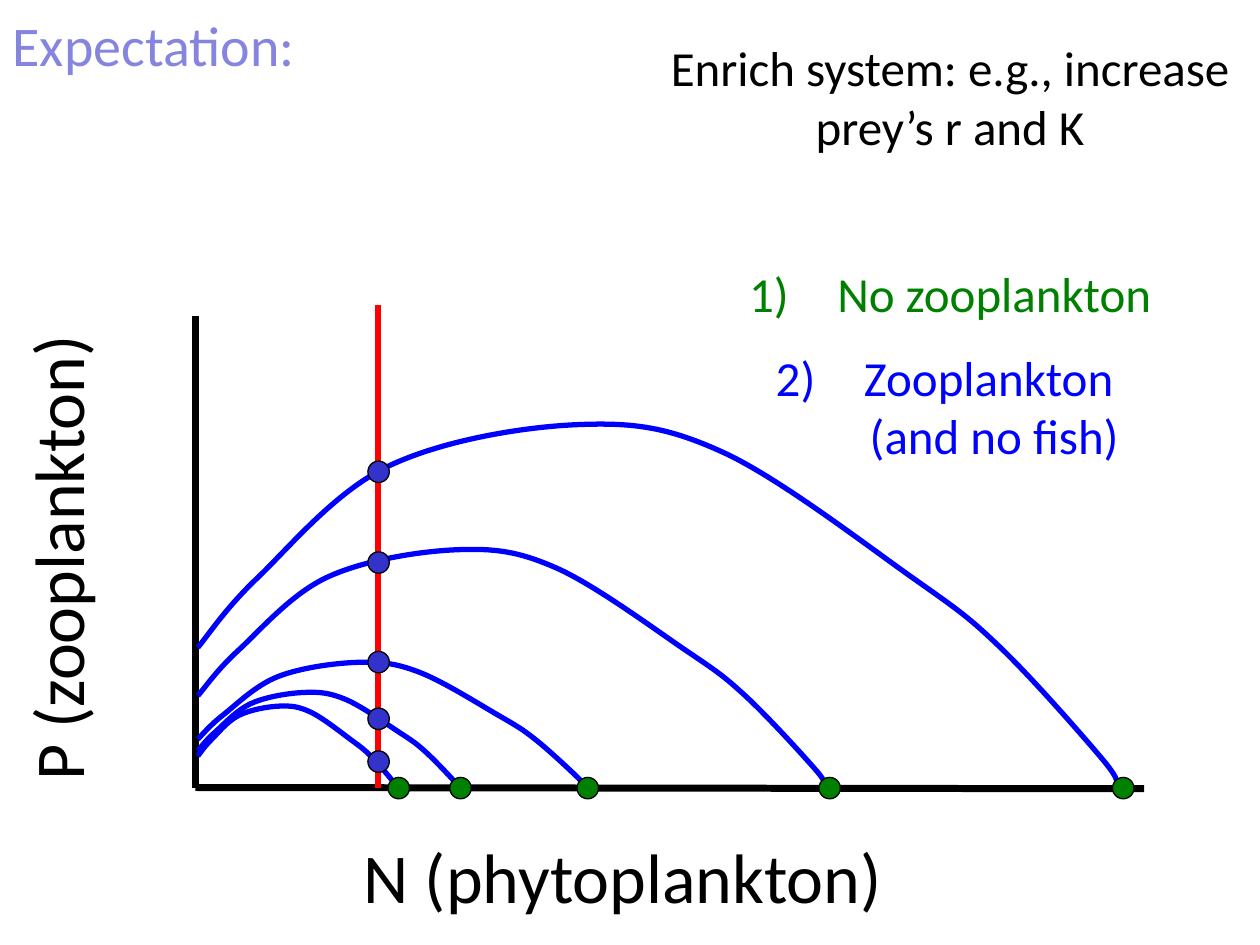
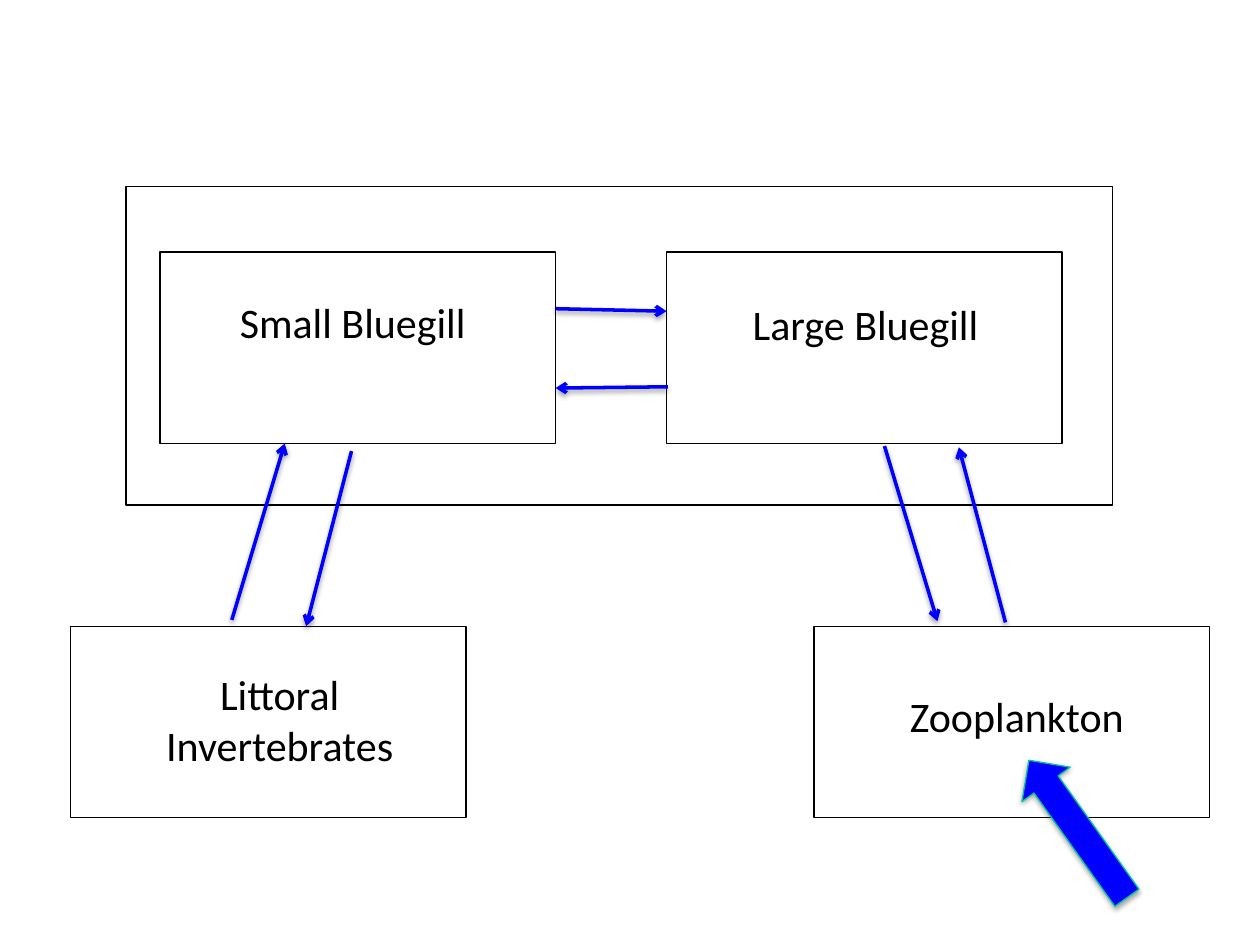
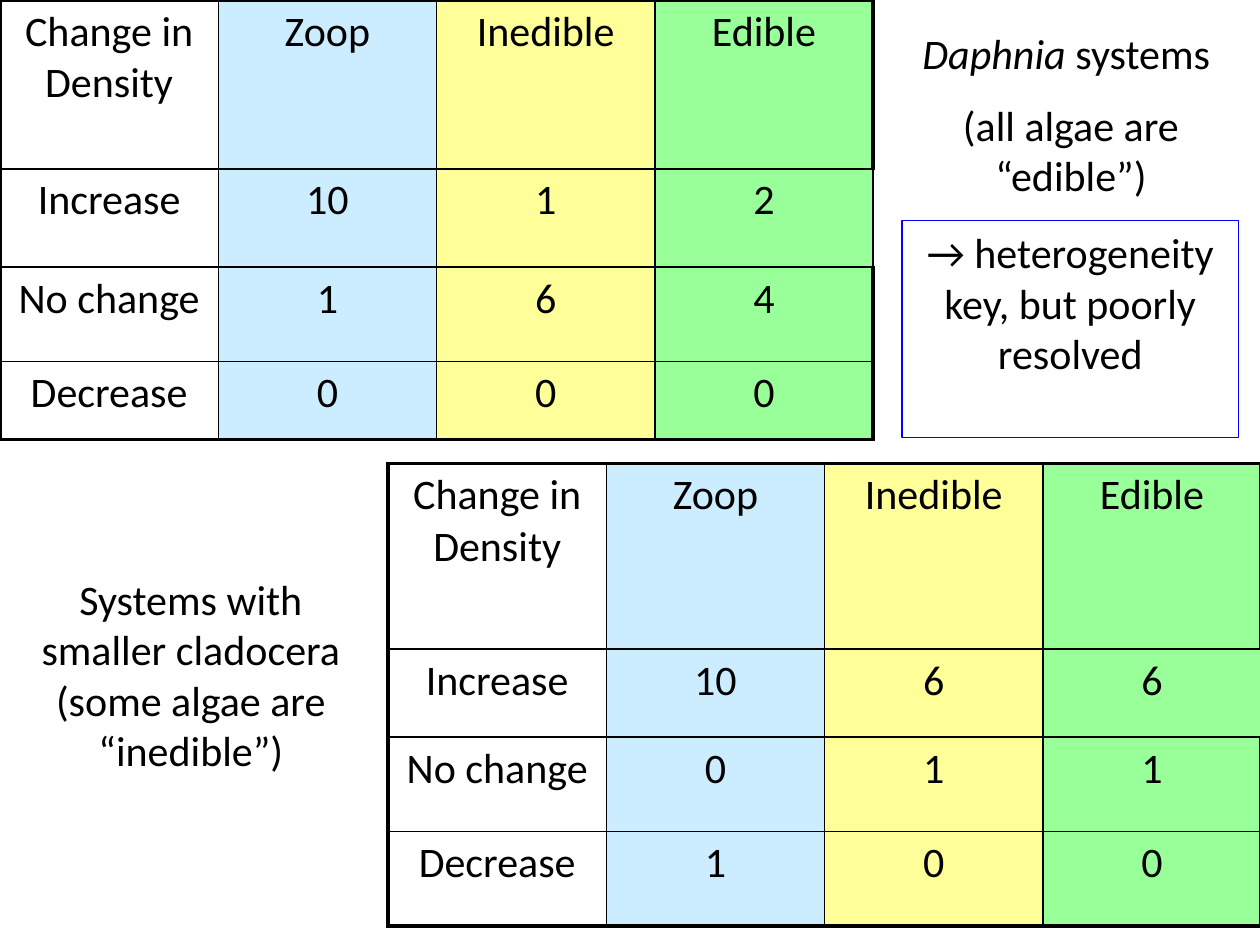
from lxml import etree
from pptx import Presentation
from pptx.dml.color import RGBColor
from pptx.enum.shapes import MSO_CONNECTOR, MSO_SHAPE
from pptx.enum.text import MSO_ANCHOR, MSO_AUTO_SIZE, PP_ALIGN
from pptx.oxml.ns import qn
from pptx.util import Inches, Pt

STRAIGHT = MSO_CONNECTOR.STRAIGHT
RECTANGLE, OVAL, UP_ARROW = MSO_SHAPE.RECTANGLE, MSO_SHAPE.OVAL, MSO_SHAPE.UP_ARROW
LEFT, CENTER = PP_ALIGN.LEFT, PP_ALIGN.CENTER
TOP, NO_AUTOFIT = MSO_ANCHOR.TOP, MSO_AUTO_SIZE.NONE

THEME = {
    "font": "Calibri",
    "title": 32, "axis": 40, "list": 28, "body": 24,
    "black": "000000", "lavender": "8585E0", "blue": "0000FF", "red": "FF0000",
    "green": "008000", "indigo": "3333CC", "teal": "00C896",
    "columns": [None, "CCECFF", "FFFF99", "99FF99"],
}


def write_text(frame, paragraphs, size, color="black", align=CENTER):
    for name, value in {"word_wrap": True, "auto_size": NO_AUTOFIT, "vertical_anchor": TOP}.items():
        setattr(frame, name, value)
    for index, parts in enumerate(paragraphs):
        paragraph = frame.add_paragraph() if index else frame.paragraphs[0]
        paragraph.text = parts[0]
        for part in parts[1:]:
            paragraph.add_run().text = part
        paragraph.alignment = align
        paragraph.space_before = Pt(THEME[size] / 2 if index else 0)
        for run in paragraph.runs:
            for name, value in {"name": THEME["font"], "size": Pt(THEME[size])}.items():
                setattr(run.font, name, value)
            run.font.color.rgb = RGBColor.from_string(THEME[color])


def paint(shape, line, width, fill=None, shadow=None):
    shape.line.color.rgb = RGBColor.from_string(THEME[line])
    shape.line.width = Pt(width)
    if fill:
        shape.fill.solid()
        shape.fill.fore_color.rgb = RGBColor.from_string(THEME[fill])
    elif hasattr(shape, "fill"):
        shape.fill.background()
    effects = etree.SubElement(shape._element.spPr, qn("a:effectLst"))
    if shadow:
        outer = etree.SubElement(effects, qn("a:outerShdw"), blurRad=str(Pt(3.1)),
                                 dist=str(Pt(1.6)), dir="5400000", rotWithShape="0")
        tint = etree.SubElement(outer, qn("a:srgbClr"), val=THEME["black"])
        etree.SubElement(tint, qn("a:alpha"), val=str(shadow * 1000))


presentation = Presentation()
presentation.slide_width, presentation.slide_height = Inches(10), Inches(7.5)
title_only, blank = presentation.slide_layouts[5], presentation.slide_layouts[6]

slide = presentation.slides.add_slide(title_only)
title = slide.shapes.title
for name, value in {"left": 0, "top": 0.03, "width": 3.25, "height": 0.64}.items():
    setattr(title, name, Inches(value))
write_text(title.text_frame, [["Expectation:"]], "title", "lavender", LEFT)

scenario = slide.shapes.add_textbox(Inches(5.08), Inches(0.25), Inches(4.92), Inches(3.64))
write_text(scenario.text_frame, [
    ["Enrich system: e.g., increase prey’s r and K"],
    ["No zooplankton"],
    ["Zooplankton \n(and no fish)"],
], "list")
cases = scenario.text_frame.paragraphs[1:]
cases[0].space_before = Pt(62)
for paragraph, color in zip(cases, ["green", "blue"]):
    properties = paragraph._p.get_or_add_pPr()
    properties.set("marL", str(Inches(0.7)))
    properties.set("indent", str(Inches(-0.7)))
    etree.SubElement(properties, qn("a:buFont"), typeface="+mj-lt")
    etree.SubElement(properties, qn("a:buAutoNum"), type="arabicParenR")
    for run in paragraph.runs:
        run.font.color.rgb = RGBColor.from_string(THEME[color])

axis_labels = [
    ("N (phytoplankton)", 2.79, 6.47, 4.71, 0),
    ("P (zooplankton)", -1.66, 3.8, 4.12, 270),
]
for label, left, top, width, rotation in axis_labels:
    box = slide.shapes.add_textbox(Inches(left), Inches(top), Inches(width), Inches(0.86))
    box.rotation = rotation
    write_text(box.text_frame, [[label]], "axis", align=LEFT)
    box.text_frame.paragraphs[0].line_spacing = 1.15

base = 6.25
for end_x, end_y in [(1.55, 2.51), (9.08, 6.26)]:
    axis = slide.shapes.add_connector(
        STRAIGHT, Inches(1.55), Inches(base), Inches(end_x), Inches(end_y))
    paint(axis, "black", 4)

hump = [(0, 61.7), (6.4, 42.8), (20.6, 12.1), (41.1, 0.7), (56.9, 8.3),
        (77.5, 42.8), (86.9, 61.7), (98, 92.4), (99.6, 100)]
isocline_sizes = [(1.58, 0.65), (2.07, 0.76), (3.08, 1), (5, 1.9), (7.33, 2.9)]
for width, height in isocline_sizes:
    knots = [(Inches(1.57 + width * x / 100), Inches(base - height * (1 - y / 100)))
             for x, y in hump]
    padded = [knots[0], *knots, knots[-1]]
    points = []
    for before, start, end, after in zip(padded, padded[1:], padded[2:], padded[3:]):
        leaving = [s + (e - b) / 6 for b, s, e in zip(before, start, end)]
        arriving = [e - (a - s) / 6 for s, e, a in zip(start, end, after)]
        points += [leaving, arriving, end]
    builder = slide.shapes.build_freeform(*knots[0])
    builder.add_line_segments(points, close=False)
    curve = builder.convert_to_shape()
    outline = curve._element.find(".//" + qn("a:path"))
    segments = outline.findall(qn("a:lnTo"))
    for first in range(0, len(segments), 3):
        bezier = etree.SubElement(outline, qn("a:cubicBezTo"))
        for segment in segments[first:first + 3]:
            bezier.append(segment[0])
            outline.remove(segment)
    paint(curve, "blue", 3)

predator_isocline = slide.shapes.add_connector(
    STRAIGHT, Inches(3), Inches(2.42), Inches(3), Inches(base))
paint(predator_isocline, "red", 3)

equilibria = [(2.92, top, "indigo") for top in (3.66, 4.38, 5.17, 5.62, 5.96)]
equilibria += [(1.5 + width, base - 0.08, "green") for width, height in isocline_sizes]
for left, top, color in equilibria:
    dot = slide.shapes.add_shape(OVAL, Inches(left), Inches(top), Inches(0.17), Inches(0.17))
    paint(dot, "black", 0.75, color)

slide = presentation.slides.add_slide(blank)
habitat = slide.shapes.add_shape(RECTANGLE, Inches(1), Inches(1.48), Inches(7.83), Inches(2.53))
paint(habitat, "black", 0.75)

compartments = [
    ("Small Bluegill", 1.27, 2, 1.65, 2.3),
    ("Large Bluegill", 5.29, 2, 5.72, 2.32),
    ("Littoral Invertebrates", 0.56, 4.97, 1.07, 5.26),
    ("Zooplankton", 6.46, 4.97, 6.92, 5.43),
]
for label, left, top, label_left, label_top in compartments:
    compartment = slide.shapes.add_shape(
        RECTANGLE, Inches(left), Inches(top), Inches(3.14), Inches(1.52))
    paint(compartment, "black", 0.75)
    box = slide.shapes.add_textbox(
        Inches(label_left), Inches(label_top), Inches(2.3), Inches(0.91))
    write_text(box.text_frame, [[label]], "body")

flows = [
    (4.41, 2.45, 5.29, 2.47), (5.3, 3.07, 4.41, 3.08),
    (1.84, 4.92, 2.26, 3.52), (2.79, 3.58, 2.43, 4.97),
    (7.02, 3.54, 7.44, 4.93), (7.98, 4.94, 7.61, 3.55),
]
for flow in flows:
    arrow = slide.shapes.add_connector(STRAIGHT, *[Inches(value) for value in flow])
    paint(arrow, "blue", 2, shadow=38)
    etree.SubElement(arrow.line._get_or_add_ln(), qn("a:tailEnd"), type="arrow")

enrichment = slide.shapes.add_shape(
    UP_ARROW, Inches(8.32), Inches(5.91), Inches(0.47), Inches(1.34))
enrichment.rotation = 324.5
paint(enrichment, "teal", 0.75, "blue", shadow=35)

slide = presentation.slides.add_slide(blank)
header = ["Change in Density", "Zoop", "Inedible", "Edible"]
changes = ["Increase", "No change", "Decrease"]
density_tables = [
    (0, 0, [1.34, 0.78, 0.75, 0.62], [(10, 1, 2), (1, 6, 4), (0, 0, 0)]),
    (3.08, 3.68, [1.47, 0.7, 0.75, 0.75], [(10, 6, 6), (0, 1, 1), (1, 0, 0)]),
]
for left, top, heights, counts in density_tables:
    table = slide.shapes.add_table(
        4, 4, Inches(left), Inches(top), Inches(6.93), Inches(sum(heights))).table
    table.first_row = table.horz_banding = False
    rows = [header] + [[change, *values] for change, values in zip(changes, counts)]
    for row, (height, values) in enumerate(zip(heights, rows)):
        table.rows[row].height = Inches(height)
        for column, value in enumerate(values):
            cell = table.cell(row, column)
            write_text(cell.text_frame, [[str(value)]], "body")
            cell.vertical_anchor = TOP
            thick_edges = {
                "a:lnL": column == 0,
                "a:lnR": column == 3 and row != 1,
                "a:lnT": row == 0,
                "a:lnB": row == 3,
            }
            properties = cell._tc.get_or_add_tcPr()
            for edge, thick in thick_edges.items():
                border = etree.SubElement(properties, qn(edge), w=str(Pt(2.25 if thick else 1)))
                solid = etree.SubElement(border, qn("a:solidFill"))
                etree.SubElement(solid, qn("a:srgbClr"), val=THEME["black"])
            fill = THEME["columns"][column]
            if fill:
                cell.fill.solid()
                cell.fill.fore_color.rgb = RGBColor.from_string(fill)
            else:
                cell.fill.background()

daphnia = slide.shapes.add_textbox(Inches(7), Inches(0.17), Inches(3), Inches(1.51))
write_text(daphnia.text_frame, [["Daphnia", " systems "], ["(all algae are “edible”)"]], "body")
daphnia.text_frame.paragraphs[0].runs[0].font.italic = True

cladocera = slide.shapes.add_textbox(Inches(0.1), Inches(4.5), Inches(2.83), Inches(1.72))
write_text(cladocera.text_frame,
           [["Systems with smaller cladocera (some algae are “inedible”)"]], "body")

conclusion = slide.shapes.add_shape(
    RECTANGLE, Inches(7.16), Inches(1.75), Inches(2.67), Inches(1.72))
paint(conclusion, "blue", 0.75)
write_text(conclusion.text_frame, [["→ heterogeneity key, but poorly resolved"]], "body")

presentation.save("out.pptx")
